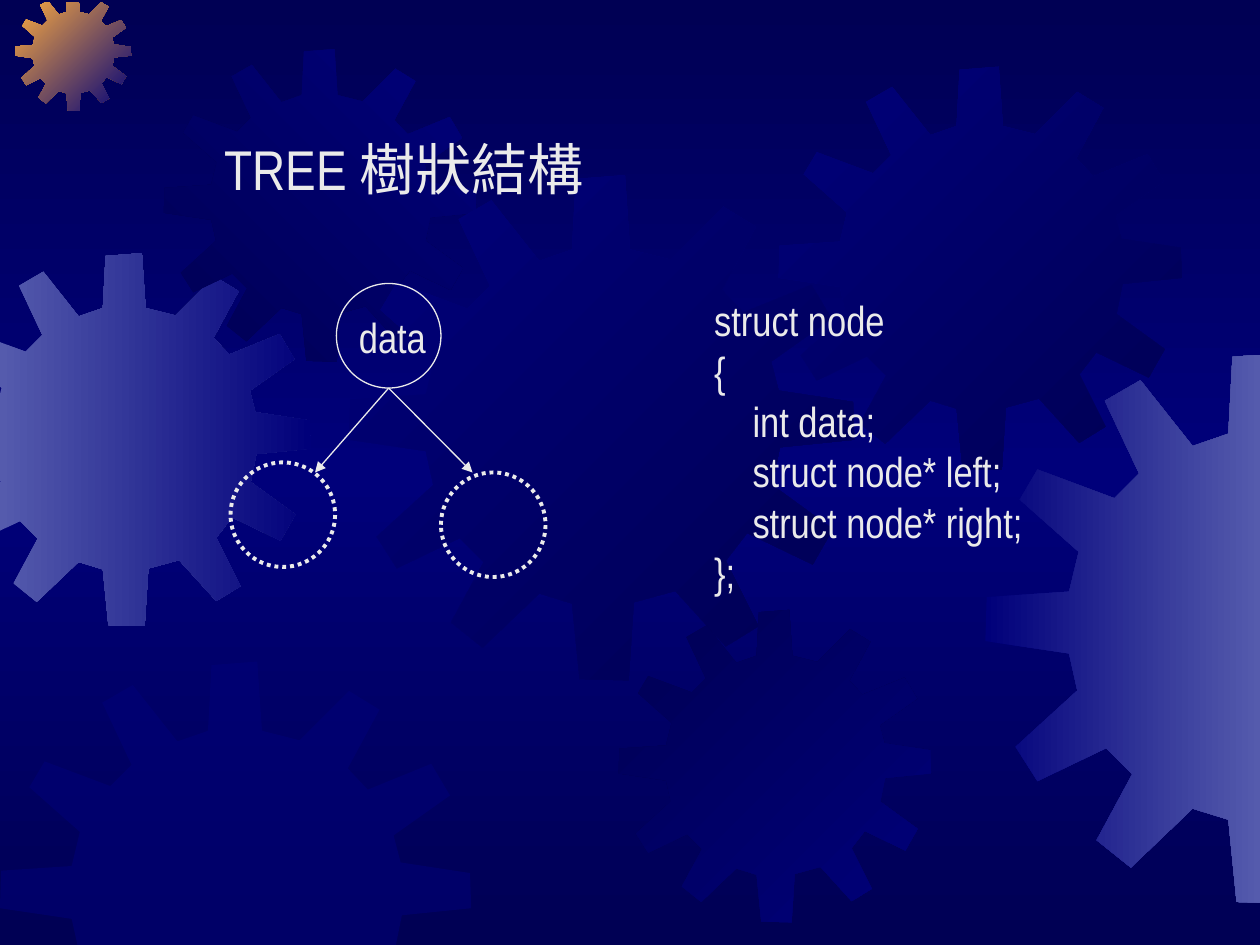
from copy import deepcopy

from pptx import Presentation
from pptx.dml.color import RGBColor
from pptx.enum.dml import MSO_LINE
from pptx.enum.shapes import MSO_CONNECTOR, MSO_SHAPE
from pptx.enum.text import MSO_ANCHOR, MSO_AUTO_SIZE, PP_ALIGN
from pptx.oxml.ns import qn
from pptx.util import Inches, Pt
from lxml.etree import SubElement

NAVY = RGBColor(0x00, 0x00, 0x54)
BLUE = RGBColor(0x00, 0x00, 0x7A)
LAVENDER = RGBColor(0x55, 0x5B, 0xAD)
ORANGE = RGBColor(0xFC, 0xAB, 0x40)
PALE = RGBColor(0xEA, 0xEA, 0xEA)
FONT = "Arial Narrow"
SLIDE_WIDTH, SLIDE_HEIGHT = 10, 7.5
TOP_EDGE = 0.02
NODE_SIZE = 0.83

GEAR_SPAN = 4.01
GEAR_OUTLINE = [
    (2.55, 0.67), (2.23, 0.59), (2.19, 0), (1.8, 0.03), (1.77, 0.59), (1.51, 0.68),
    (1.13, 0.2), (0.87, 0.35), (1.12, 0.88), (0.94, 1.06), (0.38, 0.85), (0.25, 1.07),
    (0.68, 1.45), (0.61, 1.74), (0.01, 1.78), (0, 2.1), (0.61, 2.19), (0.67, 2.46),
    (0.22, 2.87), (0.38, 3.12), (0.88, 2.88), (1.07, 3.07), (0.81, 3.55), (1.06, 3.75),
    (1.51, 3.32), (1.77, 3.4), (1.83, 4), (2.22, 4.01), (2.26, 3.39), (2.59, 3.3),
    (2.99, 3.74), (3.25, 3.58), (2.99, 3.06), (3.16, 2.84), (3.68, 3.09), (3.84, 2.81),
    (3.36, 2.46), (3.42, 2.16), (4.01, 2.1), (4, 1.8), (3.41, 1.71), (3.35, 1.48),
    (3.83, 1.14), (3.67, 0.87), (3.13, 1.09), (2.96, 0.91), (3.23, 0.41), (2.97, 0.25),
]
GEARS = [
    (-0.49, 2.01, 2.96, LAVENDER, BLUE, 0),
    (0.12, -0.04, 0.92, ORANGE, BLUE, 45),
    (1.3, 0.39, 2.48, NAVY, BLUE, 315),
    (2.77, 1.39, 4.01, BLUE, NAVY, 45),
    (0, 5.25, 3.74, BLUE, None, 0),
    (4.91, 4.84, 2.48, NAVY, BLUE, 45),
    (6.18, 0.53, 3.2, BLUE, NAVY, 45),
    (7.82, 2.8, 4.37, BLUE, LAVENDER, 0),
]
STRUCT_LINES = [
    "struct node",
    "{",
    "    int data;",
    "    struct node* left;",
    "    struct node* right;",
    "};",
]


def clip(points, axis, limit, sign):
    """Cut a polygon along one edge, keeping the side where sign * (value - limit) >= 0."""
    kept = []
    for start, end in zip(points[-1:] + points[:-1], points):
        start_gap, end_gap = (sign * (point[axis] - limit) for point in (start, end))
        if (start_gap >= 0) != (end_gap >= 0):
            share = start_gap / (start_gap - end_gap)
            kept.append(tuple(a + share * (b - a) for a, b in zip(start, end)))
        if end_gap >= 0:
            kept.append(end)
    return kept


def set_gradient(fill, first, last, angle):
    """Give a fill a linear gradient with a clockwise angle."""
    fill.gradient()
    fill.gradient_angle = (360 - angle) % 360
    for stop, color in zip(fill.gradient_stops, (first, last)):
        stop.color.rgb = color


def paint_background(slide):
    """Shade the slide from navy to blue and back to navy."""
    set_gradient(slide.background.fill, NAVY, NAVY, 90)
    stops = slide.element.find(".//" + qn("a:gsLst"))
    middle = deepcopy(stops[0])
    middle.set("pos", "50000")
    middle[0].set("val", str(BLUE))
    stops.insert(1, middle)


def add_gear(slide, left, top, size, first, last, angle):
    """Draw a gear in a square box, cut off at the slide edges."""
    scale = size / GEAR_SPAN
    points = [(left + x * scale, top + y * scale) for x, y in GEAR_OUTLINE]
    edges = [(0, 0, 1), (0, SLIDE_WIDTH, -1), (1, TOP_EDGE, 1), (1, SLIDE_HEIGHT, -1)]
    for axis, limit, sign in edges:
        points = clip(points, axis, limit, sign)
    corners = [(Inches(x), Inches(y)) for x, y in points]
    builder = slide.shapes.build_freeform(*corners[0])
    builder.add_line_segments(corners[1:], close=True)
    gear = builder.convert_to_shape()
    gear.shadow.inherit = False
    gear.line.fill.background()
    if last is None:
        gear.fill.solid()
        gear.fill.fore_color.rgb = first
        color = gear.element.spPr.find(qn("a:solidFill"))[0]
        SubElement(color, qn("a:alpha")).set("val", "50000")
    else:
        set_gradient(gear.fill, first, last, angle)


def write_lines(frame, lines, size):
    """Fill a text frame with left-aligned lines."""
    frame.word_wrap = False
    frame.auto_size = MSO_AUTO_SIZE.NONE
    frame.vertical_anchor = MSO_ANCHOR.TOP
    for index, line in enumerate(lines):
        paragraph = frame.add_paragraph() if index else frame.paragraphs[0]
        paragraph.alignment = PP_ALIGN.LEFT
        run = paragraph.add_run()
        run.text = line
        run.font.name = FONT
        run.font.size = Pt(size)
        run.font.color.rgb = PALE


def place_title(slide, left, top, width, height):
    """Place the title in front of the gears."""
    title = slide.shapes.title
    title.left, title.top = Inches(left), Inches(top)
    title.width, title.height = Inches(width), Inches(height)
    write_lines(title.text_frame, ["TREE 樹狀結構"], 32)
    title.element.getparent().append(title.element)


def add_text(slide, left, top, width, height, lines):
    """Add a text box with the given lines."""
    box = slide.shapes.add_textbox(Inches(left), Inches(top), Inches(width), Inches(height))
    write_lines(box.text_frame, lines, 24)


def add_node(slide, left, top, weight, dash=None):
    """Add one outlined tree node."""
    node = slide.shapes.add_shape(
        MSO_SHAPE.OVAL, Inches(left), Inches(top), Inches(NODE_SIZE), Inches(NODE_SIZE)
    )
    node.shadow.inherit = False
    node.fill.background()
    node.line.color.rgb = PALE
    node.line.width = Pt(weight)
    if dash is not None:
        node.line.dash_style = dash


def add_branch(slide, start, end):
    """Add an arrow from a parent node to a child node."""
    branch = slide.shapes.add_connector(
        MSO_CONNECTOR.STRAIGHT, *(Inches(value) for value in start + end)
    )
    branch.line.color.rgb = PALE
    branch.line.width = Pt(0.75)
    outline = branch.element.spPr.find(qn("a:ln"))
    SubElement(outline, qn("a:tailEnd")).set("type", "triangle")
    SubElement(branch.element.spPr, qn("a:effectLst"))


def draw_tree(slide, left, top):
    """Draw a parent node with two dotted children."""
    parent_left = left + 0.84
    add_node(slide, parent_left, top, 0.75)
    add_text(slide, parent_left + 0.08, top + 0.17, 0.74, 0.5, ["data"])
    fork = (parent_left + NODE_SIZE / 2, top + NODE_SIZE)
    for tip_left in (0.67, 1.92):
        add_branch(slide, fork, (left + tip_left, top + 1.5))
    for child_left, child_top in ((0, 1.42), (1.67, 1.5)):
        add_node(slide, left + child_left, top + child_top, 2.25, MSO_LINE.ROUND_DOT)


def main():
    """Build and save the slide."""
    presentation = Presentation()
    presentation.slide_width = Inches(SLIDE_WIDTH)
    presentation.slide_height = Inches(SLIDE_HEIGHT)
    slide = presentation.slides.add_slide(presentation.slide_layouts[5])
    paint_background(slide)
    for gear in GEARS:
        add_gear(slide, *gear)
    place_title(slide, 1.68, 1.02, 3.3, 0.64)
    draw_tree(slide, 1.83, 2.25)
    add_text(slide, 5.57, 2.29, 2.64, 2.5, STRUCT_LINES)
    presentation.save("out.pptx")


if __name__ == "__main__":
    main()
